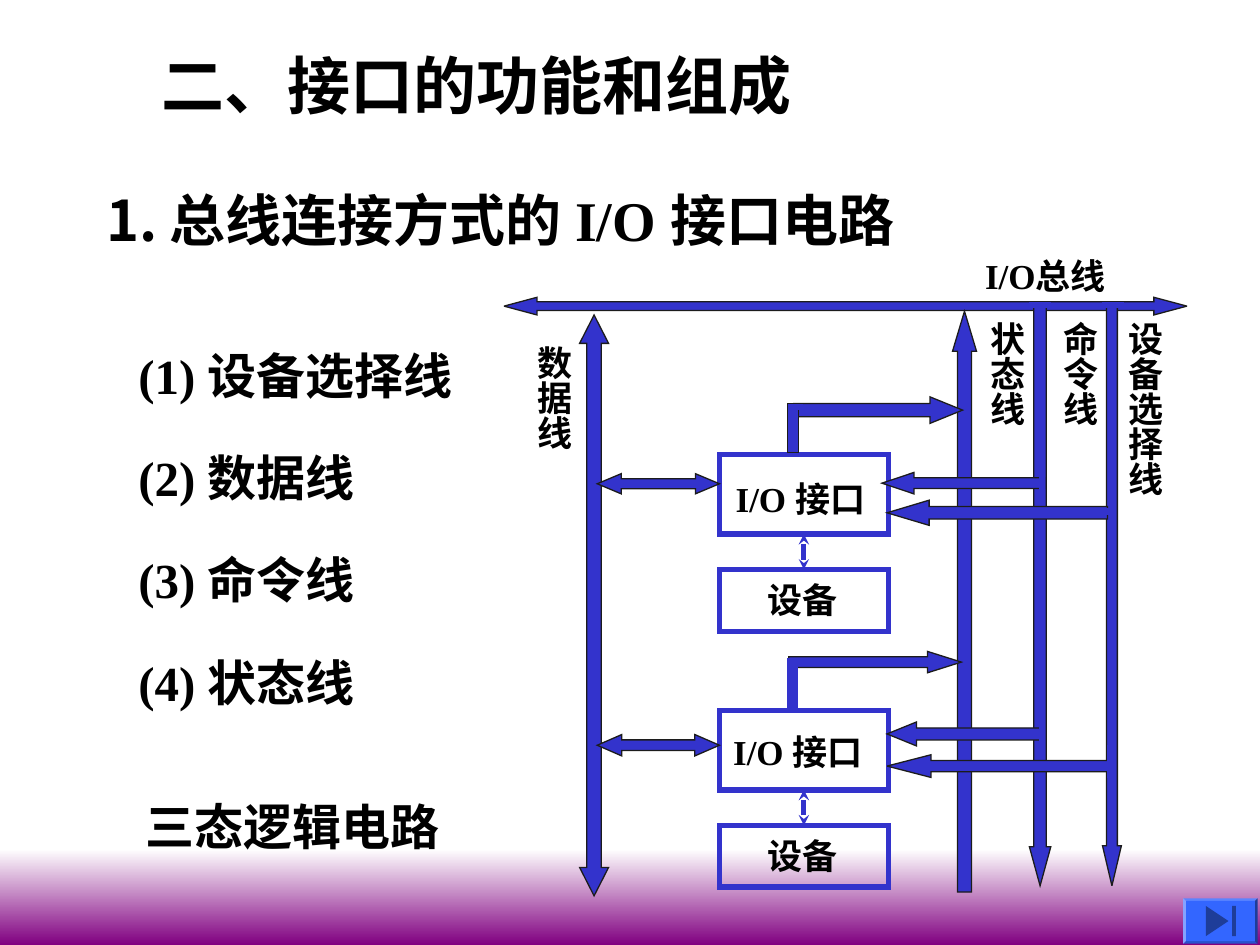
from dataclasses import dataclass

from lxml import etree
from pptx import Presentation
from pptx.dml.color import RGBColor
from pptx.enum.shapes import MSO_CONNECTOR, MSO_SHAPE
from pptx.enum.text import MSO_ANCHOR, MSO_AUTO_SIZE, PP_ALIGN
from pptx.oxml.ns import qn
from pptx.util import Inches, Pt

RECT = MSO_SHAPE.RECTANGLE
LEFT, RIGHT = MSO_SHAPE.LEFT_ARROW, MSO_SHAPE.RIGHT_ARROW
UP, DOWN = MSO_SHAPE.UP_ARROW, MSO_SHAPE.DOWN_ARROW
TWO_WAY = MSO_SHAPE.LEFT_RIGHT_ARROW
BEVEL, GO_TO_END = MSO_SHAPE.BEVEL, MSO_SHAPE.ACTION_BUTTON_END


@dataclass(frozen=True)
class Theme:
    latin: str = "Times New Roman"
    cjk: str = "Noto Sans CJK SC"
    ink: str = "000000"
    bus: str = "3333CC"
    edge: str = "1C1C1C"
    band: tuple = ("FFFFFF", "800080")
    button: str = "3366FF"
    title: int = 36
    heading: int = 32
    body: int = 28
    label: int = 20
    thin: float = 0.75
    thick: int = 3


THEME = Theme()

TITLE = "二、接口的功能和组成"
HEADING = "总线连接方式的 I/O 接口电路"
LINE_KINDS = ["设备选择线", "数据线", "命令线", "状态线"]
CONCLUSION = "三态逻辑电路"
BUS_LABEL = "I/O总线"
INTERFACE, DEVICE = "I/O 接口", "设备"

# text, left, top, height
VERTICAL_LABELS = [
    ("数据线", 4.08, 2.64, 1.04),
    ("状态线", 7.68, 2.45, 1.04),
    ("命令线", 8.26, 2.45, 1.04),
    ("设备选择线", 8.77, 2.45, 1.59),
]
# shape, (left, top, width, height), (shaft share, head ratio), rotation
BUS_LINES = [
    (TWO_WAY, (4, 2.36, 5.42, 0.14), (0.5, 1.87), 0),
    (UP, (7.56, 2.47, 0.19, 4.61), (0.58, 1.67), 0),
    (DOWN, (8.17, 2.42, 0.17, 4.61), (0.58, 1.82), 0),
    (DOWN, (8.75, 2.42, 0.15, 4.61), (0.58, 2.12), 0),
    (TWO_WAY, (2.41, 4.69, 4.61, 0.23), (0.5, 0.98), 90),
]
# One entry per interface with its device
UNITS = [
    {
        "top": 3.61, "label": (5.74, 3.74),
        "arrows": [
            (LEFT, (7, 3.75, 1.29, 0.17), (0.5, 1.49)),
            (LEFT, (7.04, 3.97, 1.75, 0.2), (0.5, 1.67)),
            (RIGHT, (6.3, 3.15, 1.34, 0.21), (0.5, 1.23)),
            (TWO_WAY, (4.74, 3.76, 0.97, 0.16), (0.5, 1.19)),
        ],
        "riser": (6.25, 3.2, 0.09, 0.39), "riser_edge": THEME.edge,
    },
    {
        "top": 5.64, "label": (5.72, 5.75),
        "arrows": [
            (LEFT, (7.04, 5.73, 1.23, 0.19), (0.5, 1.23)),
            (LEFT, (7.04, 5.99, 1.77, 0.18), (0.5, 1.94)),
            (RIGHT, (6.26, 5.17, 1.37, 0.17), (0.5, 1.58)),
            (TWO_WAY, (4.74, 5.83, 0.97, 0.17), (0.5, 1.15)),
        ],
        "riser": (6.25, 5.23, 0.08, 0.39), "riser_edge": THEME.bus,
    },
]
# Small pieces that merge the outlines where lines meet
JOINTS = [
    (8.25, 3.75, 0.04, 0.17), (8.75, 4.04, 0.08, 0.04),
    (8.17, 2.4, 0.17, 0.04), (8.75, 2.4, 0.17, 0.04),
    (8.25, 5.67, 0.04, 0.25), (8.79, 5.92, 0.04, 0.25),
    (6.33, 3.21, 0.04, 0.04),
]
BOX_LEFT, BOX_WIDTH = 5.71, 1.34
INTERFACE_HEIGHT, DEVICE_HEIGHT, DEVICE_OFFSET = 0.63, 0.49, 0.91


def rgb(value):
    return RGBColor.from_string(value)


def inches(values):
    return [Inches(value) for value in values]


def add_shape(slide, kind, place, fill=THEME.bus, line=THEME.edge,
              width=THEME.thin, adjust=()):
    shape = slide.shapes.add_shape(kind, *inches(place))
    shape.shadow.inherit = False
    if fill:
        shape.fill.solid()
        shape.fill.fore_color.rgb = rgb(fill)
    else:
        shape.fill.background()
    if line:
        shape.line.color.rgb = rgb(line)
        shape.line.width = Pt(width)
        etree.SubElement(shape.line._get_or_add_ln(), qn("a:miter"), lim="800000")
    else:
        shape.line.fill.background()
    for index, value in enumerate(adjust):
        shape.adjustments[index] = value
    return shape


def write(box, text, size, latin=THEME.latin, vertical=False):
    frame = box.text_frame
    frame.text = text
    frame.word_wrap = not vertical
    frame.auto_size = MSO_AUTO_SIZE.SHAPE_TO_FIT_TEXT
    frame.vertical_anchor = MSO_ANCHOR.TOP
    side, end = (0.05, 0.1) if vertical else (0.1, 0.05)
    frame.margin_left = frame.margin_right = Inches(side)
    frame.margin_top = frame.margin_bottom = Inches(end)
    if vertical:
        frame._txBody.bodyPr.set("vert", "eaVert")
    paragraph = frame.paragraphs[0]
    paragraph.alignment = PP_ALIGN.LEFT
    font = paragraph.runs[0].font
    font.name, font.size, font.bold = latin, Pt(size), True
    font.color.rgb = rgb(THEME.ink)
    east_asian = etree.Element(qn("a:ea"), typeface=THEME.cjk)
    font._element.find(qn("a:latin")).addnext(east_asian)
    return paragraph


def add_text(slide, text, place, size, **options):
    return write(slide.shapes.add_textbox(*inches(place)), text, size, **options)


def number(paragraph):
    """Give the paragraph an automatic '1.' with a hanging indent."""
    properties = paragraph._p.get_or_add_pPr()
    properties.set("marL", str(Inches(0.5)))
    properties.set("indent", str(-Inches(0.5)))
    colour = etree.SubElement(properties, qn("a:buClr"))
    etree.SubElement(colour, qn("a:srgbClr"), val=THEME.ink)
    etree.SubElement(properties, qn("a:buFont"), typeface=THEME.cjk)
    etree.SubElement(properties, qn("a:buAutoNum"), type="arabicPeriod")


def add_link(slide, x, top, bottom):
    """Draw a line with a small arrowhead at both ends."""
    link = slide.shapes.add_connector(
        MSO_CONNECTOR.STRAIGHT, *inches((x, bottom, x, top)))
    link.line.color.rgb = rgb(THEME.bus)
    link.line.width = Pt(THEME.thick)
    outline = link.line._get_or_add_ln()
    for end in ("a:headEnd", "a:tailEnd"):
        etree.SubElement(outline, qn(end), type="stealth", w="sm", len="sm")
    etree.SubElement(link._element.spPr, qn("a:effectLst"))


def add_band(slide):
    band = add_shape(slide, RECT, (0, 6.74, 10, 0.76), line=None)
    band.fill.gradient()
    band.fill.gradient_angle = 270
    for stop, position, colour in zip(band.fill.gradient_stops, (0, 1), THEME.band):
        stop.position = position
        stop.color.rgb = rgb(colour)


def add_unit(slide, unit):
    top = unit["top"]
    device_top = top + DEVICE_OFFSET
    for y, height in ((top, INTERFACE_HEIGHT), (device_top, DEVICE_HEIGHT)):
        add_shape(slide, RECT, (BOX_LEFT, y, BOX_WIDTH, height), fill=None,
                  line=THEME.bus, width=THEME.thick)
    add_text(slide, INTERFACE, (*unit["label"], 1.45, 0.44), THEME.label)
    add_text(slide, DEVICE, (5.99, device_top + 0.02, 0.9, 0.44), THEME.label)
    add_link(slide, BOX_LEFT + BOX_WIDTH / 2, top + INTERFACE_HEIGHT, device_top)
    for kind, place, adjust in unit["arrows"]:
        add_shape(slide, kind, place, adjust=adjust)
    add_shape(slide, RECT, unit["riser"], line=unit["riser_edge"])


def main():
    deck = Presentation()
    deck.slide_width, deck.slide_height = inches((10, 7.5))
    slide = deck.slides.add_slide(deck.slide_layouts[5])
    add_band(slide)

    title = slide.shapes.title
    title.left, title.top, title.width, title.height = inches((1.18, 0.32, 5.4, 0.7))
    write(title, TITLE, THEME.title)
    number(add_text(slide, HEADING, (0.75, 1.42, 6.8, 0.64), THEME.heading))
    for row, kind in enumerate(LINE_KINDS):
        width = 1 + 0.39 * len(kind)
        add_text(slide, f"({row + 1}) {kind}", (1, 2.69 + 0.813 * row, width, 0.57),
                 THEME.body)
    add_text(slide, CONCLUSION, (1.06, 6.27, 2.91, 0.57), THEME.body, latin=THEME.cjk)

    for kind, place, adjust, rotation in BUS_LINES:
        add_shape(slide, kind, place, adjust=adjust).rotation = rotation
    for unit in UNITS:
        add_unit(slide, unit)
    for joint in JOINTS:
        add_shape(slide, RECT, joint, line=THEME.bus)
    add_text(slide, BUS_LABEL, (7.72, 1.97, 1.4, 0.44), THEME.label)
    for text, left, top, height in VERTICAL_LABELS:
        add_text(slide, text, (left, top, 0.53, height), THEME.label, vertical=True)

    for kind, place, adjust in ((BEVEL, (9.39, 7.13, 0.59, 0.36), (0.06,)),
                                (GO_TO_END, (9.42, 7.15, 0.54, 0.32), ())):
        add_shape(slide, kind, place, fill=THEME.button, line=None, adjust=adjust)
    deck.save("out.pptx")


if __name__ == "__main__":
    main()
